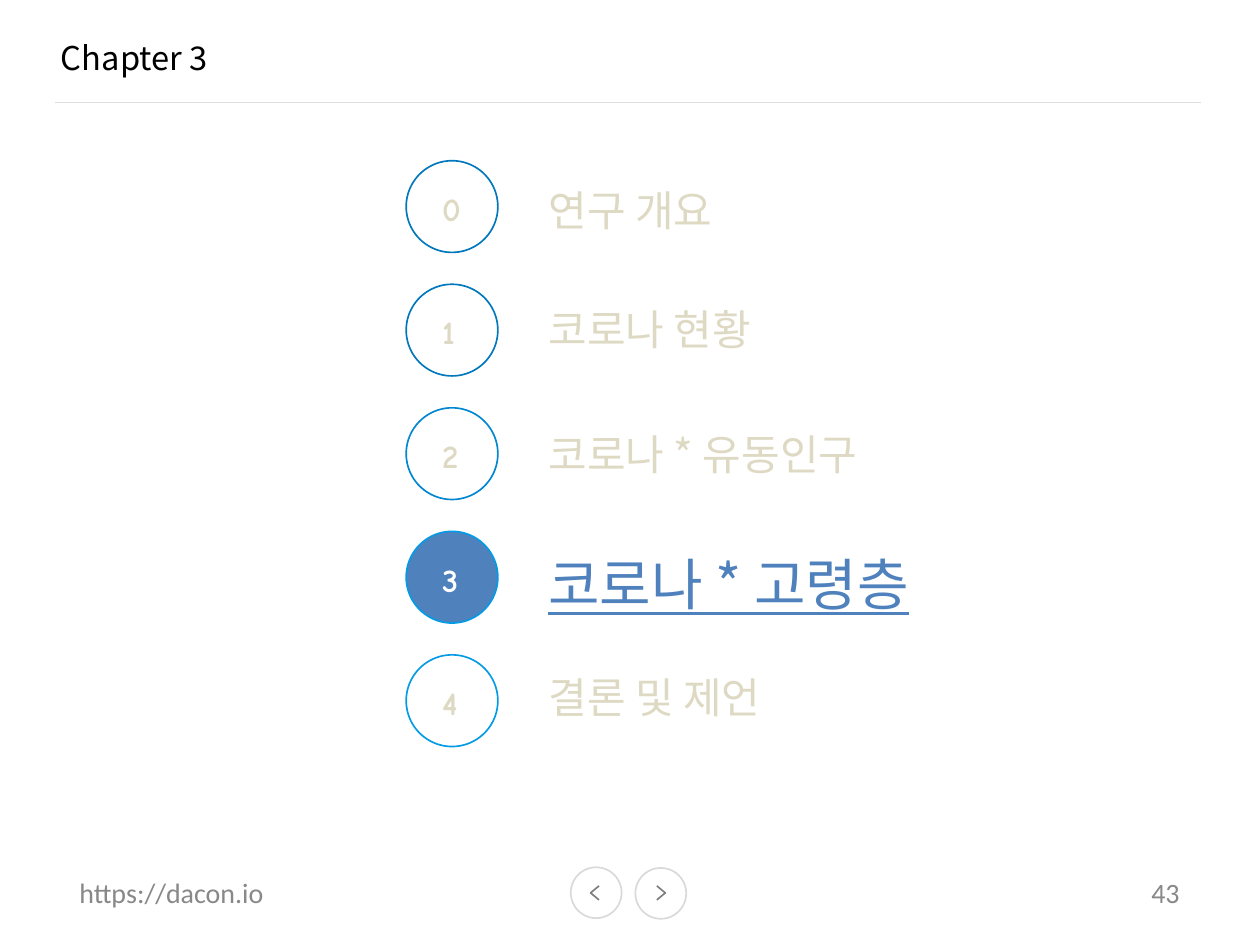
from dataclasses import dataclass

from lxml.etree import SubElement
from pptx import Presentation
from pptx.dml.color import RGBColor as Color
from pptx.enum.shapes import MSO_CONNECTOR as Connector, MSO_SHAPE as Preset
from pptx.oxml.ns import qn
from pptx.util import Pt


@dataclass(frozen=True)
class Theme:
    korean: str = "Noto Sans CJK KR"
    numeral: str = "Comic Neue"
    footer: str = "Calibri"
    ink: str = "000000"
    muted: str = "DDD9C3"
    accent: str = "4F81BD"
    white: str = "FFFFFF"
    rule: str = "DFDFDF"
    button: str = "D9D9D9"
    chevron: str = "7E7E7E"
    gray: str = "888888"
    small: float = 12
    medium: float = 14
    topic: float = 18
    current: float = 24
    stroke: float = 0.72


class ChapterSlide:
    """Draws the elements of a chapter slide in one theme."""

    def __init__(self, slide, theme):
        self.shapes = slide.shapes
        self.theme = theme

    def outline(self, shape, color):
        shape.line.color.rgb = Color.from_string(color)
        shape.line.width = Pt(self.theme.stroke)

    def rule(self, left, right, top):
        line = self.shapes.add_connector(
            Connector.STRAIGHT, Pt(left), Pt(top), Pt(right), Pt(top))
        self.outline(line, self.theme.rule)
        SubElement(line._element.spPr, qn("a:effectLst"))

    def circle(self, left, top, size, color, fill=None):
        circle = self.shapes.add_shape(
            Preset.OVAL, Pt(left), Pt(top), Pt(size), Pt(size))
        circle.shadow.inherit = False
        if fill:
            circle.fill.solid()
            circle.fill.fore_color.rgb = Color.from_string(fill)
        else:
            circle.fill.background()
        self.outline(circle, color)

    def chevron(self, tip, back, top, height):
        builder = self.shapes.build_freeform(Pt(back), Pt(top))
        builder.add_line_segments(
            [(Pt(tip), Pt(top + height / 2)), (Pt(back), Pt(top + height))],
            close=False)
        chevron = builder.convert_to_shape()
        chevron.shadow.inherit = False
        chevron.fill.background()
        self.outline(chevron, self.theme.chevron)

    def text(self, box, words, font, size, color, inset=(7.2, 3.6),
             bold=False, underline=False, spacing=None):
        shape = self.shapes.add_textbox(*map(Pt, box))
        frame = shape.text_frame
        frame.word_wrap = True
        frame.margin_left, frame.margin_top = map(Pt, inset)
        frame.margin_right = frame.margin_bottom = 0
        paragraph = frame.paragraphs[0]
        paragraph.text = words
        if spacing:
            paragraph.line_spacing = Pt(spacing)
        style = paragraph.font
        style.size = Pt(size)
        style.bold = bold
        style.underline = underline
        style.color.rgb = Color.from_string(color)
        style.name = font
        SubElement(style._element, qn("a:ea"), typeface=font)


def main():
    presentation = Presentation()
    presentation.slide_width, presentation.slide_height = Pt(540), Pt(405)
    slide = presentation.slides.add_slide(presentation.slide_layouts[6])
    theme = Theme()
    page = ChapterSlide(slide, theme)

    page.rule(23.8, 514.8, 44)
    page.text((25.2, 14.4, 87.8, 18), "Chapter 3", theme.korean,
              theme.medium, theme.ink, inset=(0.9, 1.8))

    topics = [
        ("연구 개요", 75.6, "0177BC"),
        ("코로나 현황", 126.7, "0177BC"),
        ("코로나 * 유동인구", 180, "0187D1"),
        ("코로나 * 고령층", 231.8, "039BE4"),
        ("결론 및 제언", 284.4, "039BE4"),
    ]
    current, first_top, pitch = 3, 68.9, 52.95
    for number, (topic, topic_top, ring) in enumerate(topics):
        active = number == current
        top = first_top + number * pitch
        page.circle(174.1, top, 39.3, ring, theme.accent if active else None)
        page.text((188.6, top + 10.2, 10.8, 18), str(number), theme.numeral,
                  theme.medium, theme.white if active else theme.muted,
                  inset=(0.9, 1.8), bold=True)
        page.text((228, topic_top, 216, 36 if active else 29), topic,
                  theme.korean, theme.current if active else theme.topic,
                  theme.accent if active else theme.muted, underline=active)

    for left, top, tip, back in ((244.6, 371.7, 253.1, 256.7),
                                 (272.3, 372, 285.1, 281.5)):
        page.circle(left, top, 21.8, theme.button)
        page.chevron(tip, back, 379.7, 6)

    for left, width, words, indent in ((33.1, 79.9, "https://dacon.io", 0.9),
                                       (491.2, 17.2, "43", 2.2)):
        page.text((left, 377.3, width, 13.7), words, theme.footer,
                  theme.small, theme.gray, inset=(indent, 0), spacing=12.4)

    presentation.save("out.pptx")


if __name__ == "__main__":
    main()
